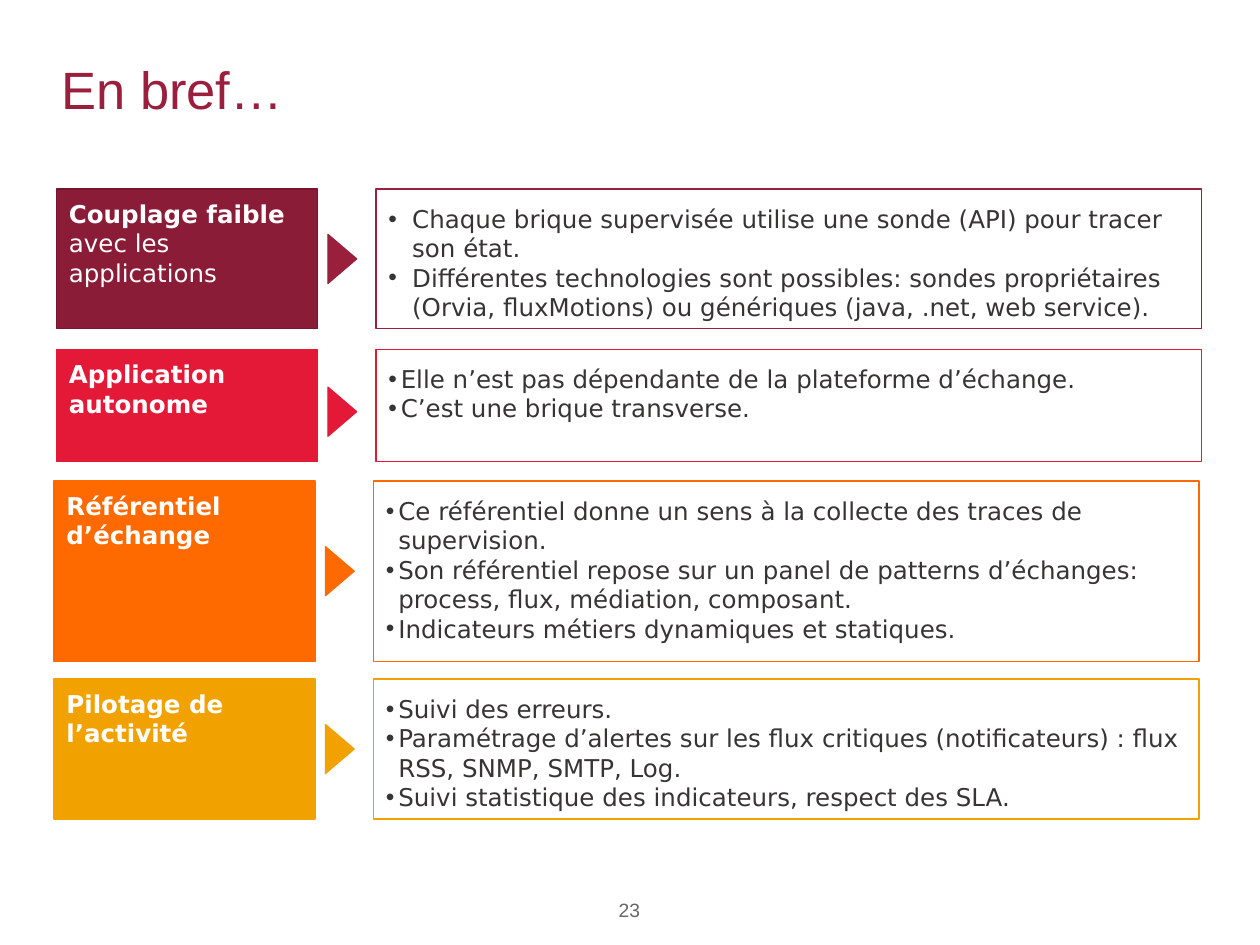
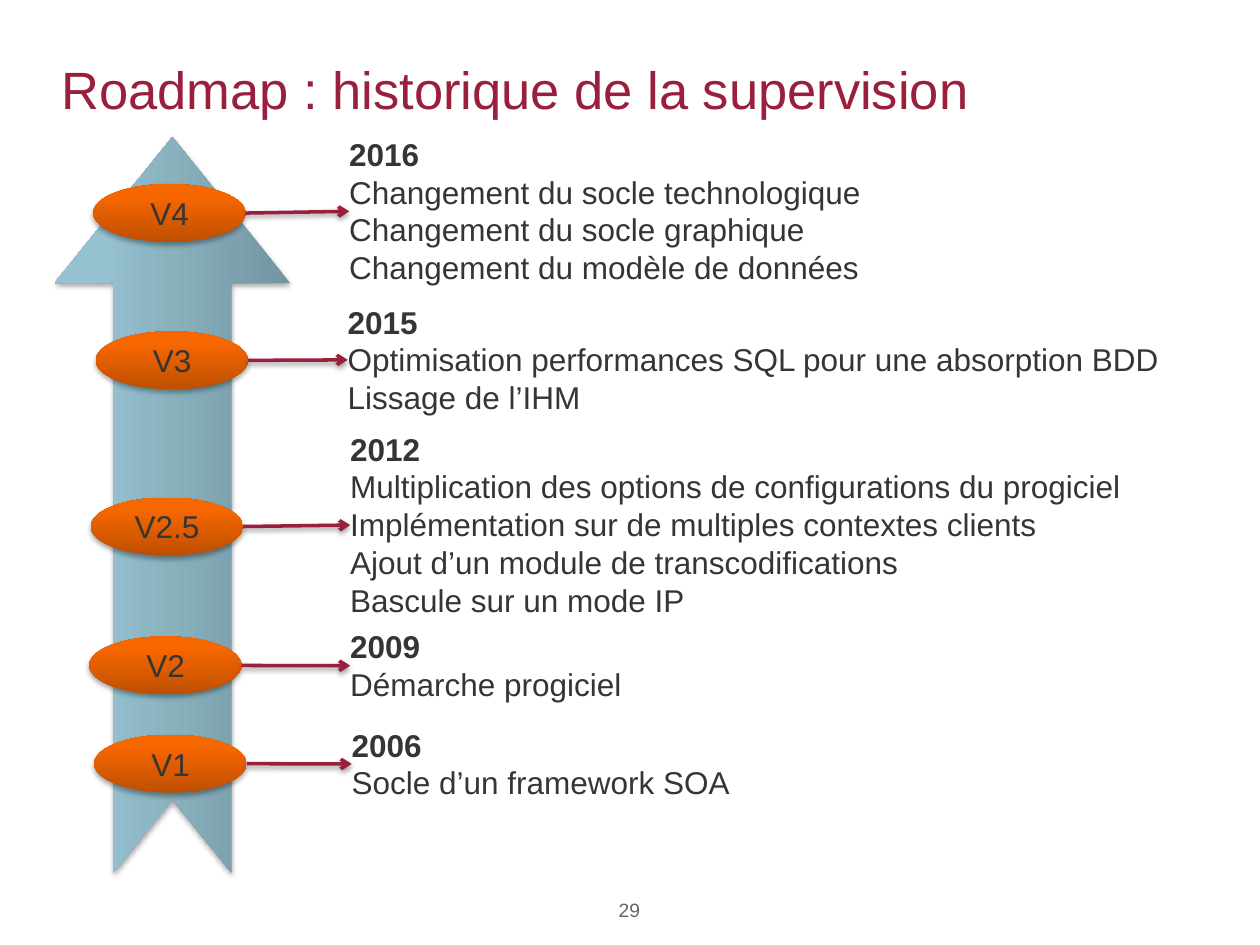
"""Build two slides: a summary in four rows and a product roadmap."""
from lxml import etree
from pptx import Presentation
from pptx.dml.color import RGBColor
from pptx.enum.shapes import MSO_CONNECTOR, MSO_SHAPE
from pptx.enum.text import MSO_ANCHOR, PP_ALIGN
from pptx.oxml import parse_xml
from pptx.oxml.ns import nsdecls, qn
from pptx.util import Cm, Pt

RECTANGLE, TRIANGLE = MSO_SHAPE.RECTANGLE, MSO_SHAPE.ISOSCELES_TRIANGLE
OVAL, NOTCHED_ARROW = MSO_SHAPE.OVAL, MSO_SHAPE.NOTCHED_RIGHT_ARROW
STRAIGHT = MSO_CONNECTOR.STRAIGHT
TOP, MIDDLE = MSO_ANCHOR.TOP, MSO_ANCHOR.MIDDLE
LEFT, CENTER = PP_ALIGN.LEFT, PP_ALIGN.CENTER

COLORS = {
    "burgundy": "991F3D", "wine": "8A1C37", "wine_edge": "73172E",
    "red": "E31937", "orange": "FF6A00", "amber": "F2A200",
    "white": "FFFFFF", "text": "363534", "grey": "666666",
}
BLUE_GRADIENT = [(0, "7395A0"), (80, "95C1D0"), (100, "95C3D2")]
ORANGE_GRADIENT = [(0, "BE4F00"), (80, "F76700"), (100, "F86700")]
HEAD_FONT, ROW_FONT = "Arial", "DejaVu Sans"

# Label runs (text, bold), fill, label edge, accent, left, top, height,
# arrow shift, bullet indent, bullets
ROWS = [
    ([("Couplage faible ", True), ("avec les applications", False)],
     "wine", "wine_edge", "burgundy", 1.14, 3.81, 2.82, 0, 0.48,
     ["Chaque brique supervisée utilise une sonde (API) pour tracer son état.",
      "Différentes technologies sont possibles: sondes propriétaires "
      "(Orvia, fluxMotions) ou génériques (java, .net, web service)."]),
    ([("Application autonome", True)],
     "red", "red", "red", 1.14, 7.04, 2.26, 0.13, 0.25,
     ["Elle n’est pas dépendante de la plateforme d’échange.",
      "C’est une brique transverse."]),
    ([("Référentiel d’échange", True)],
     "orange", "orange", "orange", 1.09, 9.7, 3.63, 0, 0.25,
     ["Ce référentiel donne un sens à la collecte des traces de supervision.",
      "Son référentiel repose sur un panel de patterns d’échanges: "
      "process, flux, médiation, composant.",
      "Indicateurs métiers dynamiques et statiques."]),
    ([("Pilotage de l’activité", True)],
     "amber", "amber", "amber", 1.09, 13.69, 2.82, 0, 0.25,
     ["Suivi des erreurs.",
      "Paramétrage d’alertes sur les flux critiques (notificateurs) : "
      "flux RSS, SNMP, SMTP, Log.",
      "Suivi statistique des indicateurs, respect des SLA."]),
]

# Version, oval left and top, note left, top and width, year, lines
VERSIONS = [
    ("V4", 1.88, 3.71, 7.04, 2.72, 11.05, "2016",
     ["Changement du socle technologique", "Changement du socle graphique",
      "Changement du modèle de données"]),
    ("V3", 1.93, 6.68, 7.01, 6.1, 16.87, "2015",
     ["Optimisation performances SQL pour une absorption BDD",
      "Lissage de l’IHM"]),
    ("V2.5", 1.83, 10.03, 7.06, 8.66, 16.87, "2012",
     ["Multiplication des options de configurations du progiciel",
      "Implémentation sur de multiples contextes clients",
      "Ajout d’un module de transcodifications", "Bascule sur un mode IP"]),
    ("V2", 1.8, 12.83, 7.06, 12.65, 16.87, "2009", ["Démarche progiciel"]),
    ("V1", 1.9, 14.81, 7.09, 14.63, 16.87, "2006",
     ["Socle d’un framework SOA"]),
]


def rgb(name):
    """Return the named colour."""
    return RGBColor.from_string(COLORS[name])


def write_text(shape, paragraphs, size, color, font=HEAD_FONT, align=LEFT,
               anchor=TOP, insets=(0, 0, 0, 0), wrap=True):
    """Fill a shape with paragraphs, each a list of (text, bold) runs."""
    frame = shape.text_frame
    frame.word_wrap = wrap
    frame.vertical_anchor = anchor
    (frame.margin_left, frame.margin_top,
     frame.margin_right, frame.margin_bottom) = map(Cm, insets)
    for index, runs in enumerate(paragraphs):
        para = frame.add_paragraph() if index else frame.paragraphs[0]
        para.alignment = align
        for text, bold in runs:
            span = para.add_run()
            span.text = text
            span.font.name = font
            span.font.size = Pt(size)
            span.font.bold = bold
            span.font.color.rgb = rgb(color)
    return frame


def add_text(page, left, top, width, height, paragraphs, size, color, **style):
    """Add a text box and return its text frame."""
    box = page.shapes.add_textbox(Cm(left), Cm(top), Cm(width), Cm(height))
    return write_text(box, paragraphs, size, color, **style)


def add_flat(page, kind, left, top, width, height, fill, edge):
    """Add a shape with a plain fill and a thin edge."""
    shape = page.shapes.add_shape(kind, Cm(left), Cm(top), Cm(width), Cm(height))
    shape.shadow.inherit = False
    shape.fill.solid()
    shape.fill.fore_color.rgb = rgb(fill)
    shape.line.color.rgb = rgb(edge)
    shape.line.width = Pt(0.75)
    return shape


def add_shadow(shape, opacity, distance):
    """Give a shape or connector a soft shadow falling downwards."""
    properties = shape._element.spPr
    for old in properties.findall(qn("a:effectLst")):
        properties.remove(old)
    properties.append(parse_xml(
        f'<a:effectLst {nsdecls("a")}><a:outerShdw blurRad="{Pt(3.1)}" '
        f'dist="{Pt(distance)}" dir="5400000" rotWithShape="0">'
        f'<a:srgbClr val="000000"><a:alpha val="{opacity * 1000}"/>'
        f'</a:srgbClr></a:outerShdw></a:effectLst>'))


def add_glossy(page, kind, left, top, width, height, stops):
    """Add an edgeless shape with an upward gradient and a shadow."""
    shape = page.shapes.add_shape(kind, Cm(left), Cm(top), Cm(width), Cm(height))
    shape.line.fill.background()
    marks = "".join(f'<a:gs pos="{place * 1000}"><a:srgbClr val="{color}"/></a:gs>'
                    for place, color in stops)
    shape._element.spPr.find(qn("a:prstGeom")).addnext(parse_xml(
        f'<a:gradFill {nsdecls("a")} rotWithShape="1"><a:gsLst>{marks}</a:gsLst>'
        f'<a:lin ang="16200000" scaled="0"/></a:gradFill>'))
    add_shadow(shape, 35, 1.8)
    return shape


def add_arrow(page, start, end):
    """Draw a shadowed line with an open arrowhead at its end."""
    line = page.shapes.add_connector(STRAIGHT, *map(Cm, start + end))
    line.line.color.rgb = rgb("burgundy")
    line.line.width = Pt(2)
    etree.SubElement(line.line._get_or_add_ln(), qn("a:tailEnd"), type="arrow")
    add_shadow(line, 38, 1.6)


def add_bullets(frame, indent):
    """Put a hanging bullet on every paragraph of a frame."""
    for para in frame.paragraphs:
        properties = para._p.get_or_add_pPr()
        properties.set("marL", str(Cm(indent)))
        properties.set("indent", str(-Cm(indent)))
        etree.SubElement(properties, qn("a:buFont"), typeface="Arial")
        etree.SubElement(properties, qn("a:buChar"), char="•")


def add_page(deck, title, number):
    """Add a blank page with its title and page number."""
    page = deck.slides.add_slide(deck.slide_layouts[6])
    add_text(page, 1.24, 0.51, 22.89, 2.57, [[(title, False)]], 30, "burgundy",
             anchor=MIDDLE)
    add_text(page, 11.61, 18.11, 2.16, 0.66, [[(number, False)]], 11, "grey",
             align=CENTER, wrap=False)
    return page


def add_row(page, label, fill, edge, accent, left, top, height, shift, indent,
            bullets):
    """Add a coloured label, a pointer and a framed bullet list."""
    name = add_flat(page, RECTANGLE, left, top, 5.26, height, fill, edge)
    write_text(name, [label], 14, "white", ROW_FONT, insets=(0.25, 0.2, 0.25, 0.2))
    body = add_flat(page, RECTANGLE, left + 6.44, top, 16.64, height, "white", accent)
    frame = write_text(body, [[(text, False)] for text in bullets], 14, "text",
                       ROW_FONT, insets=(0.25, 0.3, 0.25, 0.2))
    add_bullets(frame, indent)
    width, depth = 0.99, 0.58
    pointer = add_flat(page, TRIANGLE, left + 5.76 - width / 2,
                       top + height / 2 + shift - depth / 2, width, depth,
                       accent, accent)
    pointer.rotation = 90


def add_version(page, version, left, top, note_left, note_top, note_width,
                year, lines):
    """Add a version oval, its dated note and the arrow between them."""
    width, height = 3.07, 1.17
    add_glossy(page, OVAL, left, top, width, height, ORANGE_GRADIENT)
    frame = add_text(page, left + 0.54, top + 0.2, 2, 0.76, [[(version, False)]],
                     18, "text", align=CENTER)
    frame.paragraphs[0].space_before = frame.paragraphs[0].space_after = Pt(6)
    note = [[(year, True)]] + [[(text, False)] for text in lines]
    note_height = 0.77 * len(note)
    add_text(page, note_left, note_top, note_width, note_height, note, 18, "text")
    add_arrow(page, (left + width, top + height / 2),
              (note_left, note_top + note_height / 2))


def main():
    """Build and save the deck."""
    deck = Presentation()
    deck.slide_width, deck.slide_height = Cm(25.4), Cm(19.05)

    summary = add_page(deck, "En bref…", "23")
    for row in ROWS:
        add_row(summary, *row)

    roadmap = add_page(deck, "Roadmap : historique de la supervision", "29")
    timeline = add_glossy(roadmap, NOTCHED_ARROW, -3.94, 7.8, 14.83, 4.75,
                          BLUE_GRADIENT)
    timeline.adjustments[0], timeline.adjustments[1] = 0.5, 0.62
    timeline.rotation = 270
    for version in VERSIONS:
        add_version(roadmap, *version)

    deck.save("out.pptx")


main()
